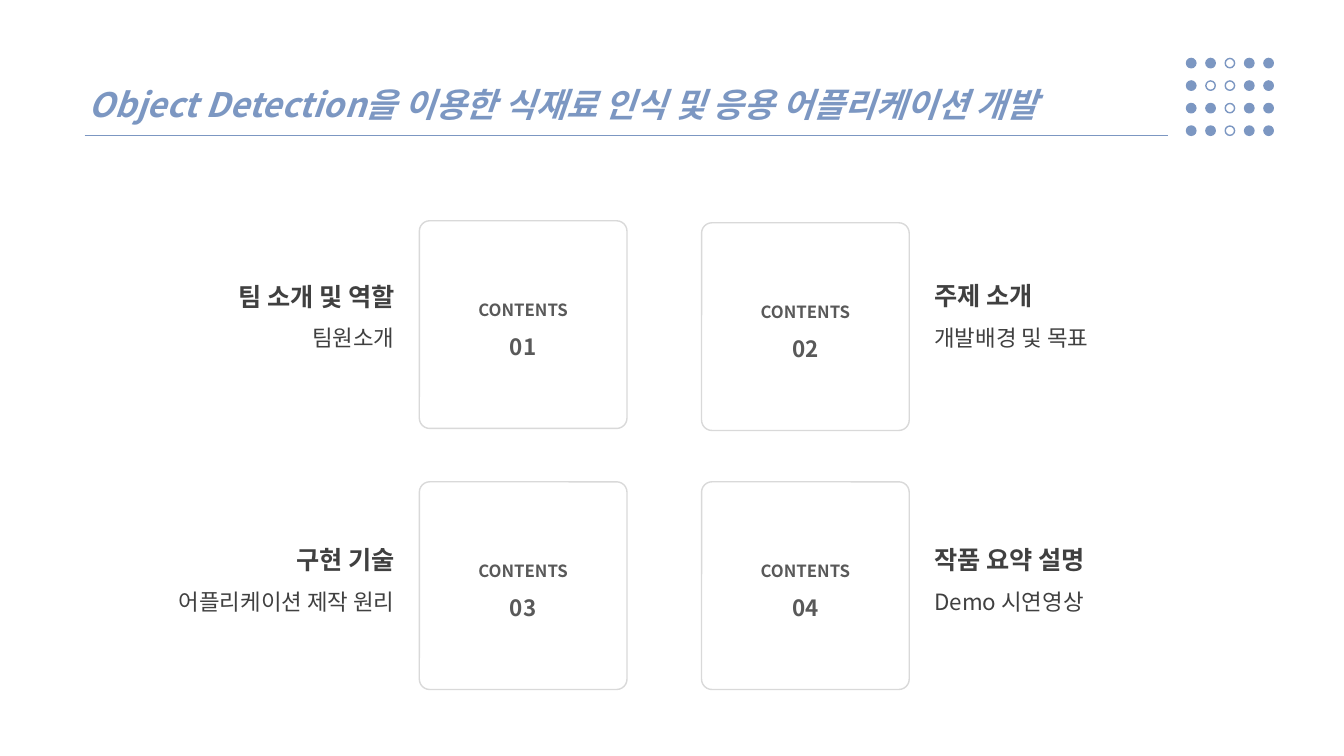
from lxml.etree import SubElement
from pptx import Presentation
from pptx.dml.color import RGBColor
from pptx.enum.shapes import MSO_CONNECTOR as Link, MSO_SHAPE as Form
from pptx.enum.text import MSO_ANCHOR as Anchor, MSO_AUTO_SIZE as Fit, PP_ALIGN as Align
from pptx.oxml.ns import qn
from pptx.util import Inches, Pt

BLUE, WHITE, EDGE, GRAY, DARK = "7C97C2", "FFFFFF", "D9D9D9", "595959", "404040"


def tint(code):
    return RGBColor.from_string(code)


class Deck:
    """Holds the style and the slide; lengths are percent of the slide's size."""
    font = "Noto Sans CJK KR"
    space = 1.5

    def __init__(self):
        self.deck = Presentation()
        self.deck.slide_width, self.deck.slide_height = Inches(13.33), Inches(7.5)
        self.page = self.deck.slides.add_slide(self.deck.slide_layouts[5])

    def box(self, x, y, w, h):
        wide, high = self.deck.slide_width, self.deck.slide_height
        return [int(part * full / 100) for part, full in
                ((x, wide), (y, high), (w, wide), (h, high))]

    def fill_text(self, shape, rows, color, align=Align.LEFT, anchor=Anchor.TOP):
        """Each row is one paragraph: text, size, bold, italic."""
        frame = shape.text_frame
        frame.word_wrap, frame.auto_size = True, Fit.NONE
        frame.vertical_anchor = anchor
        for i, (text, size, bold, slant) in enumerate(rows):
            para = frame.add_paragraph() if i else frame.paragraphs[0]
            para.alignment, para.line_spacing = align, self.space
            run = para.add_run()
            run.text = text
            font = run.font
            font.size, font.bold, font.italic = Pt(size), bold, slant
            font.color.rgb = tint(color)
            font.name = self.font
            SubElement(font._element, qn("a:ea"), typeface=self.font)

    def title(self, place, text, size, color):
        shape = self.page.shapes.title
        shape.left, shape.top, shape.width, shape.height = self.box(*place)
        self.fill_text(shape, [(text, size, True, True)], color)

    def text(self, place, rows, color, align):
        shape = self.page.shapes.add_textbox(*self.box(*place))
        self.fill_text(shape, rows, color, align)

    def shape(self, form, place, fill, edge):
        shape = self.page.shapes.add_shape(form, *self.box(*place))
        shape.shadow.inherit = False
        if fill:
            shape.fill.solid()
            shape.fill.fore_color.rgb = tint(fill)
        else:
            shape.fill.background()
        shape.line.color.rgb, shape.line.width = tint(edge), Pt(1)
        return shape

    def card(self, place, rows):
        shape = self.shape(Form.ROUNDED_RECTANGLE, place, WHITE, EDGE)
        shape.adjustments[0] = 0.05
        self.fill_text(shape, rows, GRAY, Align.CENTER, Anchor.MIDDLE)

    def rule(self, x, y, end, color, width):
        ends = self.box(x, y, end, y)
        line = self.page.shapes.add_connector(Link.STRAIGHT, *ends)
        line.line.color.rgb, line.line.width = tint(color), Pt(width)
        SubElement(line._element.spPr, qn("a:effectLst"))


deck = Deck()

# Title and rule
deck.title((5.85, 7.73, 78.54, 8.4),
           "Object Detection을 이용한 식재료 인식 및 응용 어플리케이션 개발", 24, BLUE)
deck.rule(6.3, 17.87, 86.87, BLUE, 0.5)

# Dot grid: "o" is a hollow dot
for row, dots in enumerate(("##o##", "#oo##", "##o##", "##o##")):
    for col, dot in enumerate(dots):
        spot = (88.28 + col * 1.44, 7.73 + row * 2.98, 0.7, 1.24)
        deck.shape(Form.OVAL, spot, BLUE if dot == "#" else None, BLUE)

# Contents cards with a label on the outer side; each has its own top
items = [
    ("팀 소개 및 역할", "팀원소개", 29.2, 34.5),
    ("주제 소개", "개발배경 및 목표", 29.47, 34.4),
    ("구현 기술", "어플리케이션 제작 원리", 63.73, 69.33),
    ("작품 요약 설명", "Demo 시연영상", 63.73, 69.33),
]
sides = [(31.2, 2.03, Align.RIGHT), (52.2, 68.79, Align.LEFT)]
for i, (head, note, top, high) in enumerate(items):
    left, edge, align = sides[i % 2]
    deck.card((left, top, 15.45, 27.47),
              [("CONTENTS", 12, True, False), (f"{i + 1:02}", 16, True, False)])
    deck.text((edge, high, 28.06, 12.13),
              [(head, 18, True, False), (note, 16, False, False)], DARK, align)

deck.deck.save("out.pptx")
